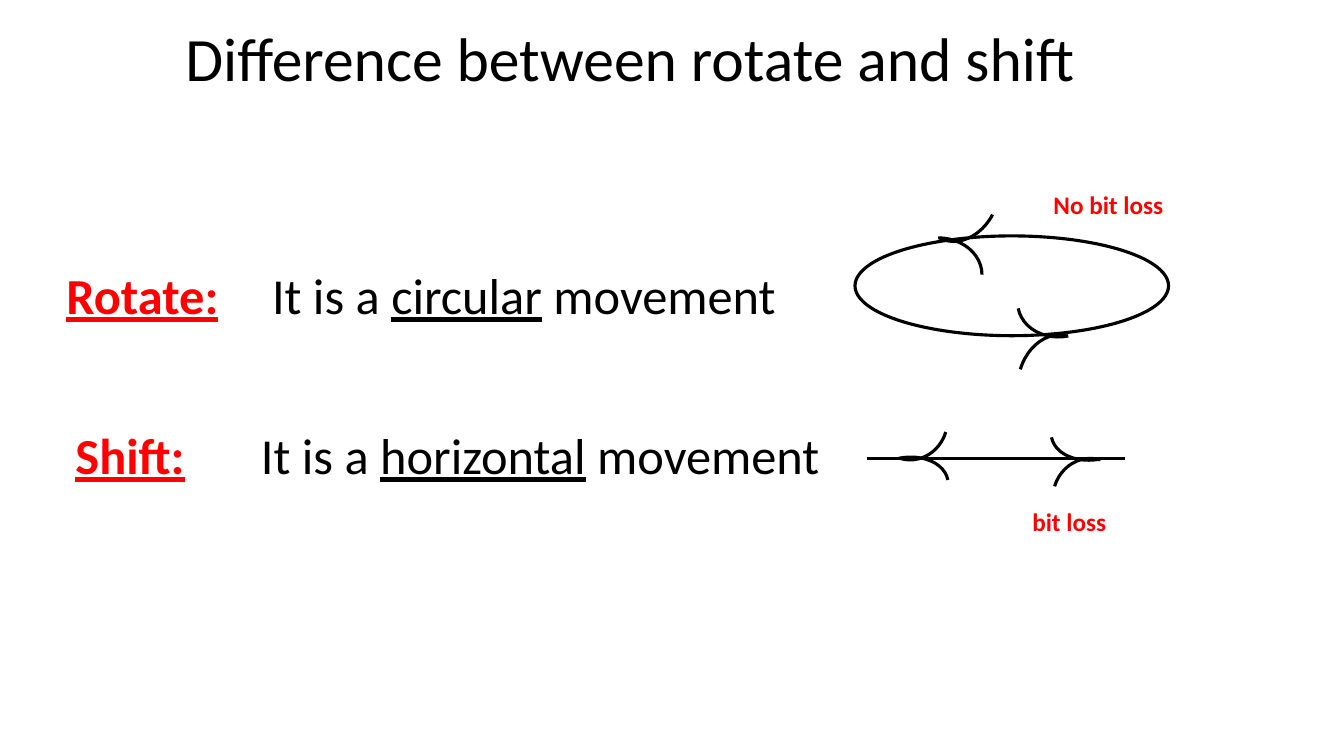
from lxml.etree import SubElement
from pptx import Presentation
from pptx.dml.color import RGBColor
from pptx.enum.shapes import MSO_CONNECTOR, MSO_SHAPE
from pptx.oxml.ns import qn
from pptx.util import Inches, Pt

THEME = {
    "font": "Calibri",
    "ink": RGBColor(0, 0, 0),
    "accent": RGBColor(255, 0, 0),
    "title": Pt(44),
    "body": Pt(36),
    "label": Pt(18),
    "stroke": Pt(2.25),
}

TITLE = ("Difference between rotate and shift", (1.74, 0.15, 10.66, 0.84))
# term, words before the key word, key word, words after, left, top, tab stop
DEFINITIONS = [
    ("Rotate:", "It is a ", "circular", " movement", 0.56, 2.57, 2.04),
    ("Shift:", "It is a ", "horizontal", " movement", 0.65, 4.16, 1.84),
]
DEFINITION_SIZE = (7.82, 0.71)
LABELS = [
    ("No bit loss", (10.35, 1.83, 1.42, 0.4)),
    ("bit loss", (10.14, 4.97, 1.31, 0.4)),
]

# Each barb: left, top, width, height, rotation in degrees
LOOP = (8.48, 2.34, 3.11, 0.99)
LOOP_BARBS = [
    (8.87, 2.36, 0.87, 0.73, 0),
    (9.08, 1.61, 0.9, 0.71, 117.7),
    (10.09, 2.61, 0.87, 0.73, 168.9),
    (10.01, 3.41, 0.9, 0.71, 286.6),
]
TRACK = (8.6, 4.55, 11.16, 4.55)
TRACK_BARBS = [
    (10.42, 3.95, 0.87, 0.61, 168.9),
    (10.42, 4.57, 0.76, 0.71, 286.6),
    (8.54, 4.54, 0.87, 0.61, 348.9),
    (8.66, 3.83, 0.76, 0.71, 106.6),
]


def inches(values):
    """Convert plain numbers to lengths."""
    return [Inches(value) for value in values]


def add_text(slide, box, pieces, size):
    """Add a text box of (text, colour, bold, underline) pieces; return its paragraph."""
    frame = slide.shapes.add_textbox(*inches(box)).text_frame
    frame.word_wrap = True
    paragraph = frame.paragraphs[0]
    for text, colour, bold, underline in pieces:
        run = paragraph.add_run()
        run.text = text
        run.font.name = THEME["font"]
        run.font.size = size
        run.font.color.rgb = colour
        run.font.bold = bold
        run.font.underline = underline
    return paragraph


def add_tab_stop(paragraph, position):
    """Set one left tab stop on a paragraph."""
    stops = SubElement(paragraph._p.get_or_add_pPr(), qn("a:tabLst"))
    SubElement(stops, qn("a:tab"), pos=str(Inches(position)), algn="l")


def style_line(line):
    """Apply the common stroke."""
    line.color.rgb = THEME["ink"]
    line.width = THEME["stroke"]


def add_outline(group, kind, box, rotation=0):
    """Add an unfilled preset shape to a group."""
    outline = group.shapes.add_shape(kind, *inches(box))
    outline.rotation = rotation
    outline.shadow.inherit = False
    outline.fill.background()
    style_line(outline.line)


def add_barbs(group, barbs):
    """Add the curved arrow barbs."""
    for *box, rotation in barbs:
        add_outline(group, MSO_SHAPE.ARC, box, rotation)


def add_loop(slide):
    """Draw the circular movement."""
    group = slide.shapes.add_group_shape()
    add_barbs(group, LOOP_BARBS)
    add_outline(group, MSO_SHAPE.OVAL, LOOP)


def add_track(slide):
    """Draw the horizontal movement."""
    group = slide.shapes.add_group_shape()
    track = group.shapes.add_connector(MSO_CONNECTOR.STRAIGHT, *inches(TRACK))
    style_line(track.line)
    SubElement(track._element.spPr, qn("a:effectLst"))
    add_barbs(group, TRACK_BARBS)


def build():
    """Build and save the slide."""
    deck = Presentation()
    deck.slide_width, deck.slide_height = inches((13.33, 7.5))
    slide = deck.slides.add_slide(deck.slide_layouts[6])
    ink, accent = THEME["ink"], THEME["accent"]

    title, title_box = TITLE
    add_text(slide, title_box, [(title, ink, False, False)], THEME["title"])
    for term, before, key, after, left, top, tab in DEFINITIONS:
        pieces = [
            (term, accent, True, True),
            ("\t" + before, ink, False, False),
            (key, ink, False, True),
            (after, ink, False, False),
        ]
        definition = add_text(slide, (left, top, *DEFINITION_SIZE), pieces, THEME["body"])
        add_tab_stop(definition, tab)
    add_loop(slide)
    add_track(slide)
    for label, box in LABELS:
        add_text(slide, box, [(label, accent, True, False)], THEME["label"])
    deck.save("out.pptx")


build()
